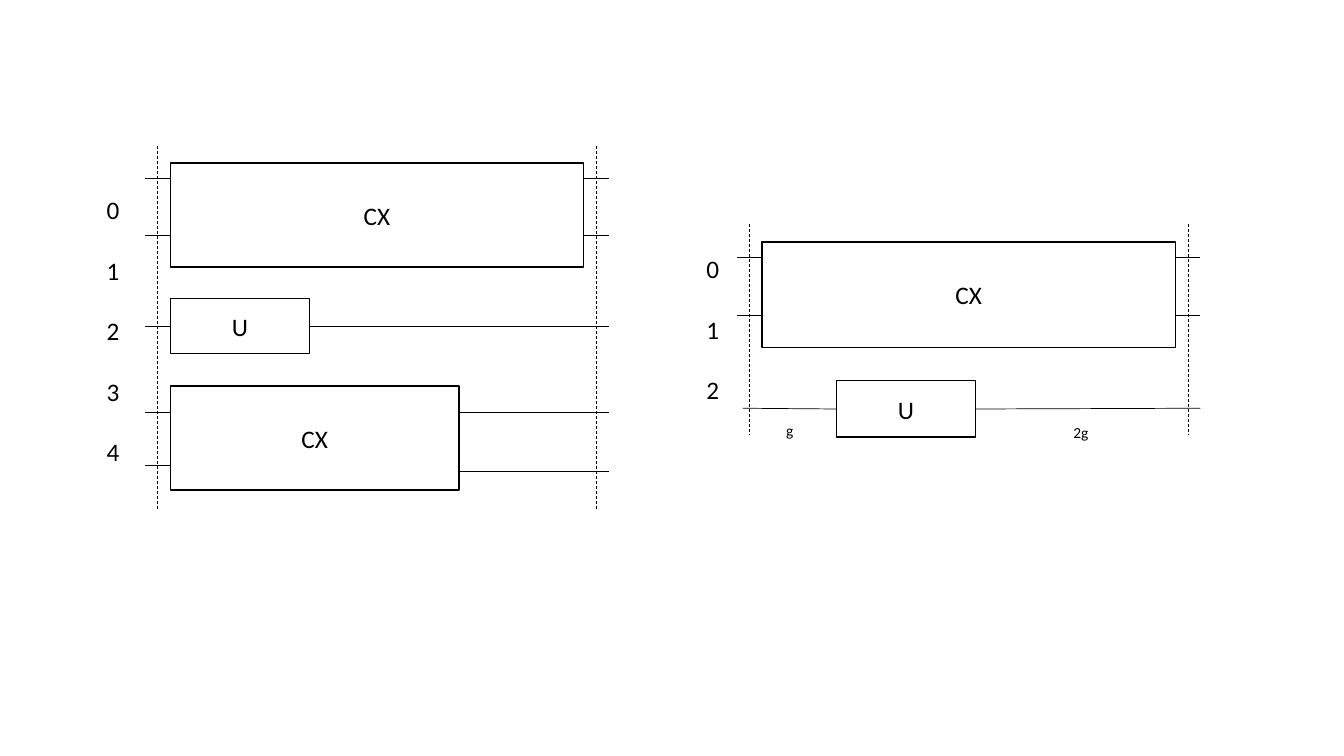
import pptx
import pptx.dml.color
import pptx.enum.dml
import pptx.enum.shapes
import pptx.enum.text
import pptx.oxml
import pptx.oxml.ns
import pptx.util

Pt = pptx.util.Pt
COLOURS = {"ink": "000000"}
FONT = "Calibri"
LEFT_SIDE, RIGHT_SIDE = 1, 3
STUB = 18


def ink():
    return pptx.dml.color.RGBColor.from_string(COLOURS["ink"])


def write_text(shape, *lines, size=18, align=None, spacing=None, anchor=None, wrap=True):
    frame = shape.text_frame
    frame.word_wrap = wrap
    frame.vertical_anchor = anchor
    for index, line in enumerate(lines):
        para = frame.add_paragraph() if index else frame.paragraphs[0]
        para.alignment = align
        para.line_spacing = spacing
        span = para.add_run()
        span.text = line
        span.font.name = FONT
        span.font.size = Pt(size)
        span.font.color.rgb = ink()


def add_gate(circuit, name, left, top, width, height):
    gate = circuit.shapes.add_shape(
        pptx.enum.shapes.MSO_SHAPE.RECTANGLE, Pt(left), Pt(top), Pt(width), Pt(height))
    gate.shadow.inherit = False
    gate.fill.background()
    gate.line.color.rgb = ink()
    gate.line.width = Pt(1)
    write_text(gate, name, align=pptx.enum.text.PP_ALIGN.CENTER,
               anchor=pptx.enum.text.MSO_ANCHOR.MIDDLE)
    return gate


def add_line(circuit, start, end, dashed=False):
    line = circuit.shapes.add_connector(
        pptx.enum.shapes.MSO_CONNECTOR.STRAIGHT, *map(Pt, start + end))
    line.line.color.rgb = ink()
    line.line.width = Pt(0.5)
    if dashed:
        line.line.dash_style = pptx.enum.dml.MSO_LINE.DASH
    properties = line._element.spPr
    properties.append(pptx.oxml.parse_xml(
        "<a:effectLst %s/>" % pptx.oxml.ns.nsdecls("a")))
    return line


def add_wire(circuit, start, end, y):
    add_line(circuit, (start, y), (end, y))


def add_joined_wires(circuit, gate, start, end, y):
    """Run a wire into the left middle of a gate and on from its right middle."""
    incoming = add_line(circuit, (start, y), (gate.left.pt, y))
    incoming.end_connect(gate, LEFT_SIDE)
    outgoing = add_line(circuit, (gate.left.pt + gate.width.pt, y), (end, y))
    outgoing.begin_connect(gate, RIGHT_SIDE)


def add_text(circuit, left, top, width, height, *lines, **text_format):
    box = circuit.shapes.add_textbox(Pt(left), Pt(top), Pt(width), Pt(height))
    write_text(box, *lines, **text_format)
    box.text_frame.auto_size = pptx.enum.text.MSO_AUTO_SIZE.SHAPE_TO_FIT_TEXT


def add_qubit_numbers(circuit, left, top, height, count):
    add_text(circuit, left, top, 29.5, height, *map(str, range(count)), spacing=2.0,
             anchor=pptx.enum.text.MSO_ANCHOR.MIDDLE, wrap=False)


def add_barriers(circuit, gate_left, gate_right, top, bottom):
    for x in (gate_left - STUB / 2, gate_right + STUB / 2):
        add_line(circuit, (x, top), (x, bottom), dashed=True)


def add_five_qubit_circuit(page):
    circuit = page.shapes.add_group_shape()
    left, right, short_right = 121.7, 416.9, 328
    start, end = left - STUB, right + STUB
    add_gate(circuit, "CX", left, 116.6, right - left, 74.2)
    single = add_gate(circuit, "U", left, 213.1, 99.4, 39.6)
    add_gate(circuit, "CX", left, 275.8, short_right - left, 74.2)
    for y in (127.4, 168):
        add_wire(circuit, start, left, y)
        add_wire(circuit, right, end, y)
    add_joined_wires(circuit, single, start, end, 232.9)
    for y_in, y_out in ((294.5, 294.5), (332.6, 337)):
        add_wire(circuit, start, left, y_in)
        add_wire(circuit, short_right, end, y_out)
    add_qubit_numbers(circuit, 69.1, 85.7, 279.4, 5)
    add_barriers(circuit, left, right, 104.4, 365)


def add_three_qubit_circuit(page):
    circuit = page.shapes.add_group_shape()
    left, right = 544.3, 839.5
    start, end = left - STUB, right + STUB
    add_gate(circuit, "CX", left, 172.8, right - left, 75.6)
    single = add_gate(circuit, "U", 597.4, 272, 99.4, 40.3)
    for y in (183.6, 225.4):
        add_wire(circuit, start, left, y)
        add_wire(circuit, right, end, y)
    add_joined_wires(circuit, single, 530.6, end, 291.6)
    add_qubit_numbers(circuit, 497.5, 138.2, 172.1, 3)
    add_barriers(circuit, left, right, 160, 311)
    add_text(circuit, 554.4, 297.4, 15.1, 26.6, "g", size=11)
    add_text(circuit, 759.6, 298.8, 37.4, 26.6, "2g", size=11)


def main():
    deck = pptx.Presentation()
    deck.slide_width, deck.slide_height = Pt(960), Pt(540)
    page = deck.slides.add_slide(deck.slide_layouts[6])
    add_five_qubit_circuit(page)
    add_three_qubit_circuit(page)
    deck.save("out.pptx")


if __name__ == "__main__":
    main()
